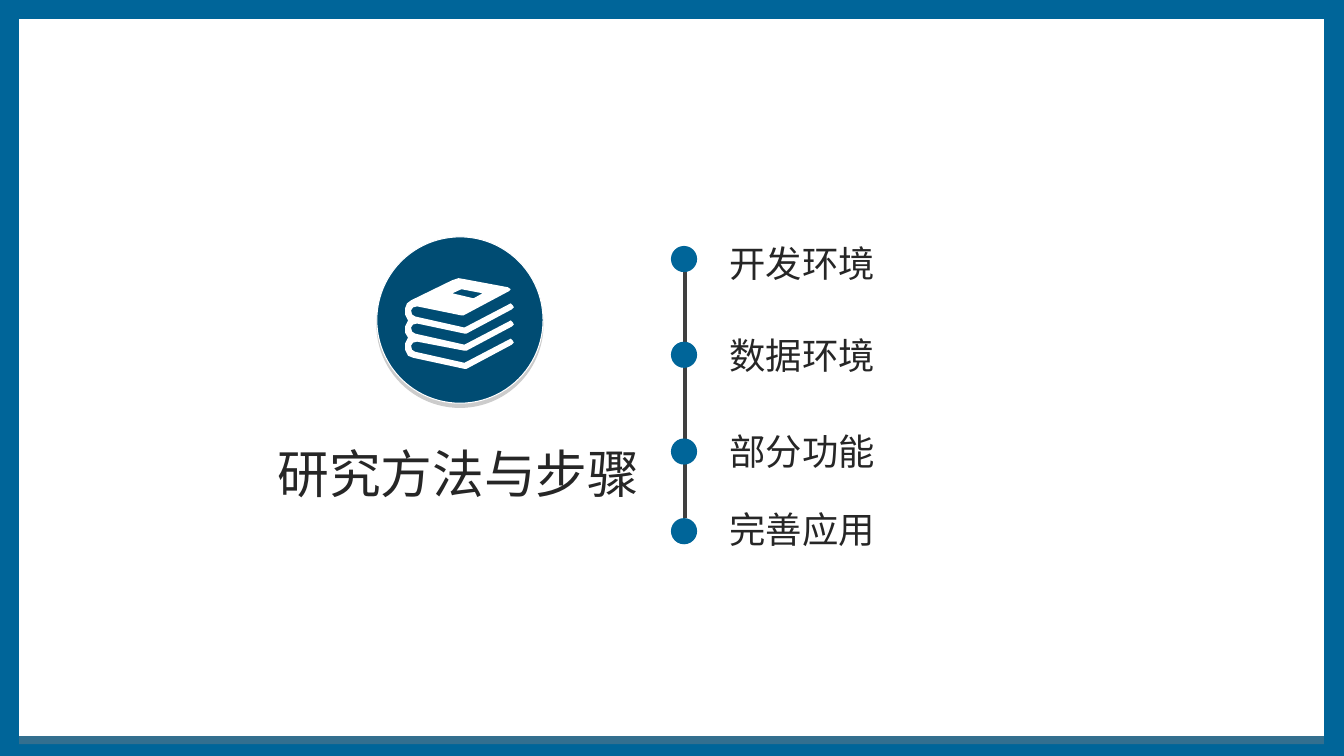
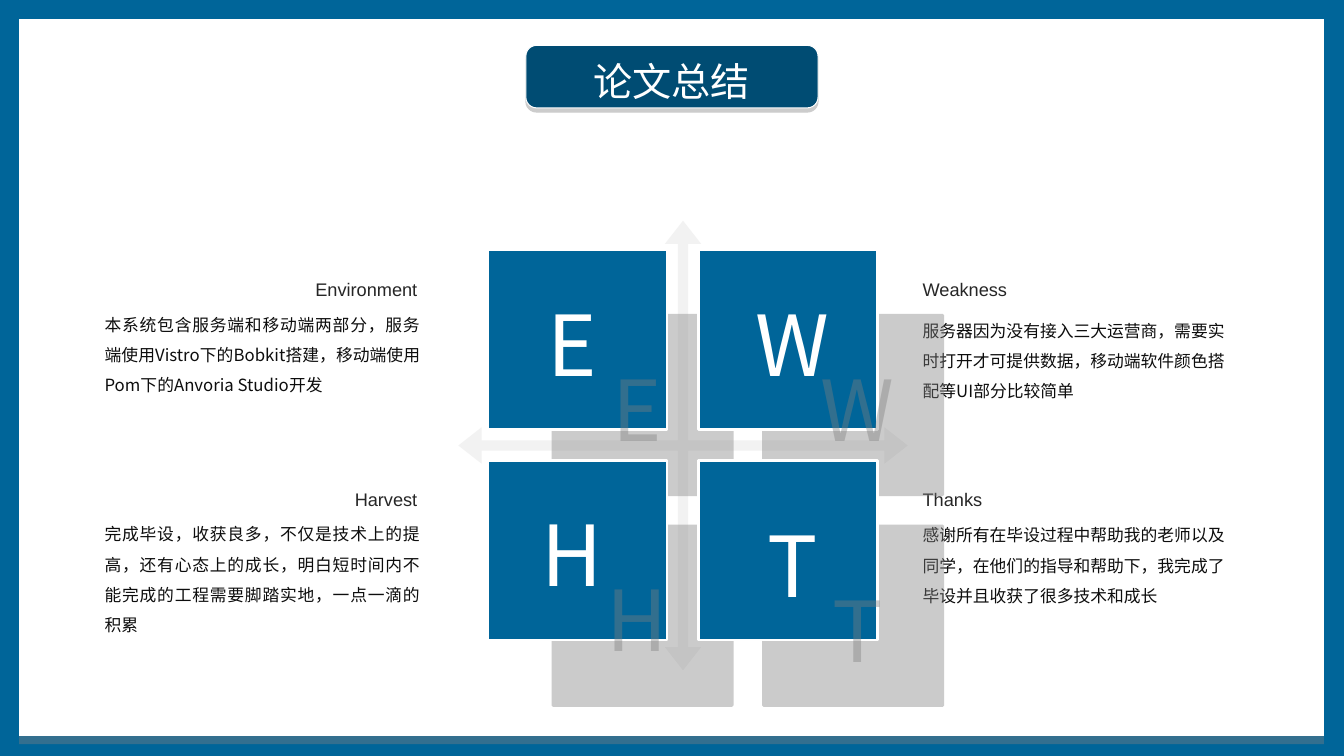
import lxml.etree
import pptx
import pptx.dml.color
import pptx.enum.shapes
import pptx.enum.text
import pptx.oxml.ns
import pptx.util

Inches, Pt = pptx.util.Inches, pptx.util.Pt
RGB = pptx.dml.color.RGBColor.from_string
qn = pptx.oxml.ns.qn
KIND = pptx.enum.shapes.MSO_SHAPE
ALIGN = pptx.enum.text.PP_ALIGN
ANCHOR = pptx.enum.text.MSO_ANCHOR

HUES = {"blue": "006599", "navy": "004C73", "white": "FFFFFF", "ink": "262626",
        "body": "0D0D0D", "rail": "3F3F3F", "pale": "F2F2F2",
        "shade": "808080", "cast": "7F7F7F"}
CJK = "Noto Sans CJK SC"
STYLES = {  # font values, colour, line spacing
    "cover": ({"size": Pt(37), "name": CJK}, "ink", Pt(48)),
    "item": ({"size": Pt(26), "name": CJK}, "ink", Pt(34)),
    "title": ({"size": Pt(28), "name": "Arial"}, "white", Pt(36.4)),
    "label": ({"size": Pt(13), "name": "Arial"}, "ink", 1.5),
    "body": ({"size": Pt(12), "name": CJK}, "body", Pt(21.6)),
    "letter": ({"size": Pt(60), "name": CJK}, "white", Pt(80)),
}
FRAME = {"word_wrap": True, "auto_size": pptx.enum.text.MSO_AUTO_SIZE.NONE,
         "margin_left": Inches(0.1), "margin_right": Inches(0.1),
         "margin_top": Inches(0.05), "margin_bottom": Inches(0.05)}


def paint(shape, fill=None, line=None, cast=None):
    """Set fill hue, (hue, points) line and (hue, points, degrees) shadow."""
    if fill:
        shape.fill.solid()
        shape.fill.fore_color.rgb = RGB(HUES[fill])
    else:
        shape.fill.background()
    if line:
        shape.line.color.rgb = RGB(HUES[line[0]])
        shape.line.width = Pt(line[1])
    else:
        shape.line.fill.background()
    shape.shadow.inherit = False
    if cast:
        hue, dist, turn = cast
        node = shape.element.spPr.find(qn("a:effectLst"))
        outer = lxml.etree.SubElement(
            node, qn("a:outerShdw"), blurRad="0", dist=str(int(Pt(dist))),
            dir=str(turn * 60000), algn="ctr", rotWithShape="0")
        tint = lxml.etree.SubElement(outer, qn("a:srgbClr"), val=HUES[hue])
        lxml.etree.SubElement(tint, qn("a:alpha"), val="40000")


def write(shape, box, texts, style, align=ALIGN.LEFT, anchor=ANCHOR.TOP, gaps=(0,)):
    """Place a text shape and fill it, one paragraph per text and gap."""
    for name, value in zip(("left", "top", "width", "height"), box):
        setattr(shape, name, Inches(value))
    frame = shape.text_frame
    for name, value in FRAME.items():
        setattr(frame, name, value)
    frame.vertical_anchor = anchor
    font, hue, pitch = STYLES[style]
    for n, (text, gap) in enumerate(zip(texts, gaps)):
        para = frame.add_paragraph() if n else frame.paragraphs[0]
        para.alignment = align
        para.line_spacing = pitch
        para.space_before = Pt(gap)
        props = para._p.get_or_add_pPr()
        props.set("marL", "0")
        props.set("indent", "0")
        lxml.etree.SubElement(props, qn("a:buNone"))
        run = para.add_run()
        run.text = text
        for name, value in font.items():
            setattr(run.font, name, value)
        run.font.color.rgb = RGB(HUES[hue])
        lxml.etree.SubElement(run._r.get_or_add_rPr(), qn("a:ea"), typeface=CJK)


deck = pptx.Presentation()
deck.slide_width, deck.slide_height = Inches(13.34), Inches(7.5)
steps = deck.slides.add_slide(deck.slide_layouts[1])
recap = deck.slides.add_slide(deck.slide_layouts[5])

# Shared ground and white panel, kept on the master
master = deck.slide_master
master.background.fill.solid()
master.background.fill.fore_color.rgb = RGB(HUES["blue"])
panel = steps.shapes.add_shape(
    KIND.RECTANGLE, Inches(0.19), Inches(0.19), Inches(12.95), Inches(7.11))
paint(panel, "white", cast=("shade", 6, 90))
master.shapes.element.insert(2, panel.element)

# Slide 1: section opener
write(steps.shapes.title, (2.17, 4.28, 4.76, 0.72), ["研究方法与步骤"], "cover",
      ALIGN.CENTER)
badge = steps.shapes.add_shape(
    KIND.OVAL, Inches(3.74), Inches(2.35), Inches(1.65), Inches(1.65))
paint(badge, "navy", ("white", 0.75), ("shade", 3, 90))

leaf = [(4.61, 3.48), (4.63, 3.48), (5.08, 3.24), (5.1, 3.22), (5.09, 3.2),
        (5.07, 3.18), (5.05, 3.19), (4.61, 3.42), (4.12, 3.31), (4.09, 3.29),
        (4.08, 3.25), (4.1, 3.22), (4.14, 3.21)]
cover = [(4.58, 3.13), (4.6, 3.13), (5.05, 2.89), (5.07, 2.87), (5.04, 2.85),
         (4.61, 2.77), (4.55, 2.76), (4.49, 2.78), (4.08, 2.98), (4.04, 3.01),
         (4.02, 3.06), (4.02, 3.12), (4.05, 3.18), (4.02, 3.24), (4.02, 3.3),
         (4.05, 3.35), (4.02, 3.41), (4.02, 3.47), (4.05, 3.53), (4.1, 3.55)]
hole = [(4.58, 2.87), (4.79, 2.91), (4.7, 2.96), (4.49, 2.91)]
upper, middle, lower = [[(x, y + dy) for x, y in leaf] for dy in (-0.17, 0, 0.18)]
rings = [[(Inches(x), Inches(y)) for x, y in ring]
         for ring in (middle + upper + cover + lower, hole)]
pen = steps.shapes.build_freeform(*rings[0][0], scale=1.0)
pen.add_line_segments(rings[0][1:], close=True)
pen.move_to(*rings[1][0])
pen.add_line_segments(rings[1][1:], close=True)
paint(pen.convert_to_shape(), "white")

rail = steps.shapes.add_connector(
    pptx.enum.shapes.MSO_CONNECTOR.STRAIGHT,
    Inches(6.8), Inches(2.46), Inches(6.8), Inches(5.14))
rail.line.color.rgb = RGB(HUES["rail"])
rail.line.width = Pt(3)
lxml.etree.SubElement(rail.element.spPr, qn("a:effectLst"))
for top in (2.44, 3.39, 4.35, 5.14):
    dot = steps.shapes.add_shape(
        KIND.OVAL, Inches(6.66), Inches(top), Inches(0.26), Inches(0.26))
    paint(dot, "blue")
write(steps.placeholders[1], (7.14, 2.3, 3, 3.2),
      ["开发环境", "数据环境", "部分功能", "完善应用"], "item", gaps=(0, 32, 34.5, 22))

# Slide 2: four notes around a cross of arrows
notes = [
    (0.94, 2.6, 2.97, ALIGN.RIGHT, ALIGN.JUSTIFY, "Environment",
     "本系统包含服务端和移动端两部分，服务端使用Vistro下的Bobkit搭建，"
     "移动端使用Pom下的Anvoria Studio开发"),
    (0.94, 4.69, 5.05, ALIGN.RIGHT, ALIGN.JUSTIFY, "Harvest",
     "完成毕设，收获良多，不仅是技术上的提高，还有心态上的成长，"
     "明白短时间内不能完成的工程需要脚踏实地，一点一滴的积累"),
    (9.06, 4.69, 5.06, ALIGN.LEFT, ALIGN.LEFT, "Thanks",
     "感谢所有在毕设过程中帮助我的老师以及同学，在他们的指导和帮助下，"
     "我完成了毕设并且收获了很多技术和成长"),
    (9.06, 2.6, 3.03, ALIGN.LEFT, ALIGN.LEFT, "Weakness",
     "服务器因为没有接入三大运营商，需要实时打开才可提供数据，"
     "移动端软件颜色搭配等UI部分比较简单"),
]
for left, top, low, side, flow, label, body in notes:
    wide = 3.3 if side == ALIGN.RIGHT else 3.33
    write(recap.shapes.add_textbox(0, 0, 0, 0), (left, low, 3.33, 1.3), [body],
          "body", flow)
    write(recap.shapes.add_textbox(0, 0, 0, 0), (left, top, wide, 0.43), [label],
          "label", side)

arm = [(-0.05, -0.05), (-0.05, -2), (-0.18, -2), (0, -2.23), (0.18, -2), (0.05, -2)]
cross = []
for turn in range(4):
    cross += [(Inches(6.78 + x), Inches(4.42 + y)) for x, y in arm]
    arm = [(-y, x) for x, y in arm]
pen = recap.shapes.build_freeform(*cross[0], scale=1.0)
pen.add_line_segments(cross[1:], close=True)
paint(pen.convert_to_shape(), "pale")

cast = ("cast", 66, 45)
tiles = [("E", 4.84, 2.48, 5, 2.62), ("W", 6.93, 2.48, 7.19, 2.62),
         ("H", 4.84, 4.57, 5, 4.7), ("T", 6.93, 4.57, 7.19, 4.81)]
for mark, left, top, x, y in tiles:
    tile = recap.shapes.add_shape(
        KIND.RECTANGLE, Inches(left), Inches(top), Inches(1.78), Inches(1.78))
    paint(tile, "blue", ("white", 2), cast)
    letter = recap.shapes.add_textbox(0, 0, 0, 0)
    write(letter, (x, y, 1.35, 1.45), [mark], "letter", ALIGN.CENTER, ANCHOR.MIDDLE)
    paint(letter, cast=cast)

plate = recap.shapes.add_shape(
    KIND.ROUNDED_RECTANGLE, Inches(5.22), Inches(0.45), Inches(2.9), Inches(0.62))
plate.adjustments[0] = 0.17
paint(plate, "navy", ("white", 0.75), ("shade", 3, 90))
title = recap.shapes.title
write(title, (4.67, 0.48, 3.99, 0.57), ["论文总结"], "title", ALIGN.CENTER)
recap.shapes.element.append(title.element)  # bring the title above its plate

deck.save("out.pptx")
